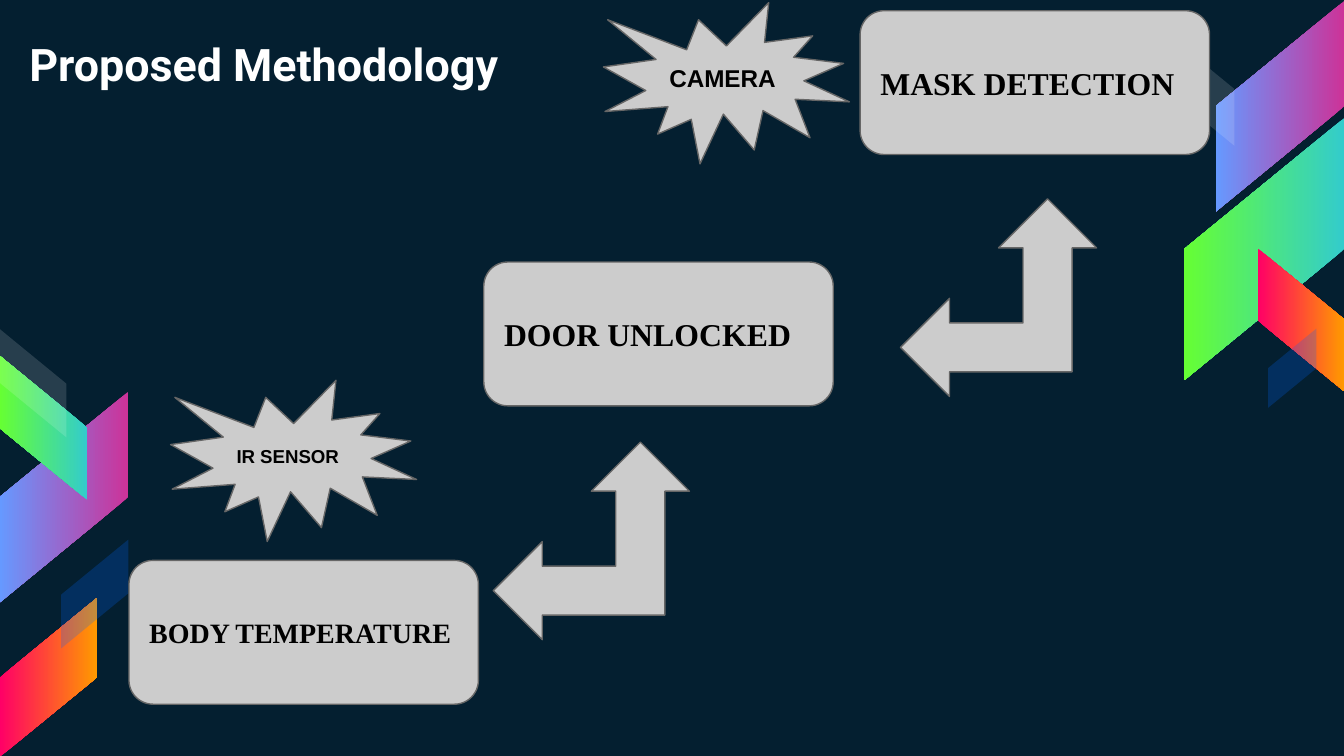
from lxml import etree
from pptx import Presentation
from pptx.dml.color import RGBColor
from pptx.enum import shapes, text
from pptx.oxml.ns import qn
from pptx.util import Inches, Pt

BACKGROUND, PANEL, OUTLINE = "041F30", "CCCCCC", "666666"
PURPLE, GREEN, ORANGE = ("CC3399", "6699FF"), ("33CCCC", "66FF33"), ("FF0066", "FF9900")
WHITE_GLASS, BLUE_GLASS = ("FFFFFF", 14), ("0066FF", 23)  # colour, opacity in percent

# left, top, width, height, rotation, flipped, fill
RIBBONS = [
    (8.74, 0.31, 1.57, 0.96, 90, True, PURPLE),
    (8.43, 1.26, 1.95, 1.19, 90, True, GREEN),
    (9.15, 2.06, 1.06, 0.64, 270, False, ORANGE),
    (8.51, 0.41, 0.84, 0.51, 270, False, WHITE_GLASS),
    (9.32, 2.56, 0.59, 0.36, 270, True, BLUE_GLASS),
    (-0.31, 3.22, 1.57, 0.96, 90, True, PURPLE),
    (-0.21, 2.86, 1.07, 0.65, 90, False, GREEN),
    (-0.23, 4.68, 1.18, 0.72, 270, True, ORANGE),
    (-0.16, 2.60, 0.81, 0.50, 270, False, WHITE_GLASS),
    (0.30, 4.17, 0.81, 0.50, 270, True, BLUE_GLASS),
]
STEP_SIZE, ARROW_SIZE, DEVICE_SIZE = (2.6, 1.07), (1.46, 1.47), (1.83, 1.2)
STEPS = [  # label, left, top, font size
    ("MASK DETECTION", 6.4, 0.08, 17),
    ("BODY TEMPERATURE", 0.96, 4.17, 15),
    ("DOOR UNLOCKED", 3.6, 1.95, 17),
]
ARROWS = [(3.67, 3.29), (6.7, 1.48)]
DEVICES = [("CAMERA", 4.49, 0.02, 13), ("IR SENSOR", 1.27, 2.83, 10)]


def color(value):
    return RGBColor.from_string(value)


def add_shape(kind, left, top, width, height):
    shape = slide.shapes.add_shape(kind, *map(Inches, (left, top, width, height)))
    shape.shadow.inherit = False
    return shape


def add_ribbon(left, top, width, height, rotation, flipped, fill):
    shape = add_shape(shapes.MSO_SHAPE.PARALLELOGRAM, left, top, width, height)
    shape.adjustments[0] = 0.819
    shape.rotation = rotation
    if flipped:
        shape._element.spPr.xfrm.set("flipH", "1")
    shape.line.fill.background()
    first, second = fill
    if isinstance(second, str):
        shape.fill.gradient()
        shape.fill.gradient_angle = 270  # counter-clockwise, so it runs downwards
        for stop, value in zip(shape.fill.gradient_stops, fill):
            stop.color.rgb = color(value)
    else:
        shape.fill.solid()
        shape.fill.fore_color.rgb = color(first)
        rgb = shape._element.spPr.find(qn("a:solidFill"))[0]
        etree.SubElement(rgb, qn("a:alpha"), val=str(second * 1000))


def add_panel(kind, left, top, size):
    shape = add_shape(kind, left, top, *size)
    shape.fill.solid()
    shape.fill.fore_color.rgb = color(PANEL)
    shape.line.color.rgb = color(OUTLINE)
    shape.line.width = Pt(0.75)
    return shape


def write(shape, words, size, font_name, font_color, anchor=text.MSO_ANCHOR.MIDDLE):
    frame = shape.text_frame
    frame.word_wrap = True
    frame.vertical_anchor = anchor
    frame.margin_left = frame.margin_right = Inches(0.1)
    frame.margin_top = frame.margin_bottom = Inches(0.1)
    paragraph = frame.paragraphs[0]
    paragraph.text = words
    paragraph.alignment = text.PP_ALIGN.LEFT
    font = paragraph.font
    font.name, font.size, font.bold = font_name, Pt(size), True
    font.color.rgb = color(font_color)


presentation = Presentation()
presentation.slide_width = Inches(10)
presentation.slide_height = presentation.slide_width * 9 // 16
slide = presentation.slides.add_slide(presentation.slide_layouts[6])
slide.background.fill.solid()
slide.background.fill.fore_color.rgb = color(BACKGROUND)

for ribbon in RIBBONS:
    add_ribbon(*ribbon)
for label, left, top, size in STEPS:
    step = add_panel(shapes.MSO_SHAPE.FLOWCHART_ALTERNATE_PROCESS, left, top, STEP_SIZE)
    write(step, label, size, "Times New Roman", "000000")
for left, top in ARROWS:
    add_panel(shapes.MSO_SHAPE.LEFT_UP_ARROW, left, top, ARROW_SIZE)
for label, left, top, size in DEVICES:
    device = add_panel(shapes.MSO_SHAPE.EXPLOSION1, left, top, DEVICE_SIZE)
    write(device, label, size, "Arial", "000000")

title = slide.shapes.add_textbox(*map(Inches, (0.12, 0.17, 3.83, 0.41)))
write(title, "Proposed Methodology", 24, "Roboto", "FFFFFF", text.MSO_ANCHOR.TOP)

presentation.save("out.pptx")
